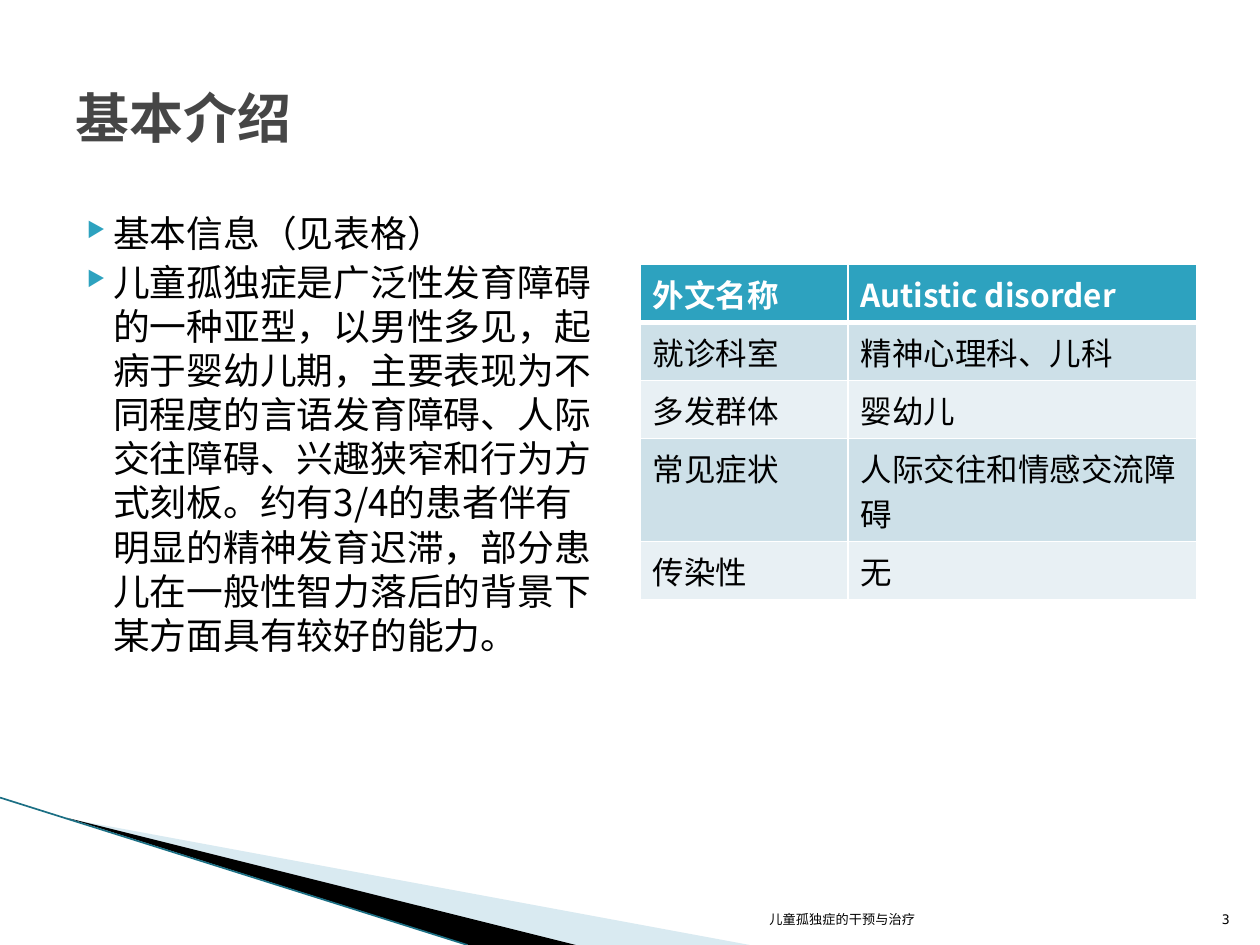
import pptx
import pptx.util
import pptx.dml.color
import pptx.enum.shapes
import pptx.enum.text
import pptx.oxml.ns
from lxml import etree

# Content
TITLE = "基本介绍"
POINTS = [
    "基本信息（见表格）",
    "儿童孤独症是广泛性发育障碍的一种亚型，以男性多见，起病于婴幼儿期，"
    "主要表现为不同程度的言语发育障碍、人际交往障碍、兴趣狭窄和行为方式刻板。"
    "约有3/4的患者伴有明显的精神发育迟滞，部分患儿在一般性智力落后的背景下"
    "某方面具有较好的能力。",
]
FACTS = [
    ("外文名称", "Autistic disorder"),
    ("就诊科室", "精神心理科、儿科"),
    ("多发群体", "婴幼儿"),
    ("常见症状", "人际交往和情感交流障碍"),
    ("传染性", "无"),
]
FOOTER = [("儿童孤独症的干预与治疗", 4.79, 2.57), ("3", 9.46, 0.4)]

# Theme
SANS, MONO = "Noto Sans CJK SC", "DejaVu Sans Mono"
THEME = {
    "title": dict(size=30.8, color="464646", bold=True, name=SANS),
    "body": dict(size=21, color="000000", bold=False, name=SANS),
    "head": dict(size=18, color="FFFFFF", bold=True, name=SANS),
    "cell": dict(size=18, color="000000", bold=False, name=SANS),
    "foot": dict(size=7.5, color="000000", bold=False, name=MONO),
    "accent": "2DA2BF", "bands": ("CDE0E8", "E8F0F4"), "rule": "FFFFFF",
    "pale": "A0CBDC", "dark": "000000", "edge": "1B6F84",
    "leading": 25.2, "bullet": 57,
}

# Layout: two equal columns between the side margins
WIDE, HIGH, EDGE, GAP = 10, 7.5, 0.5, 0.16
COL = (WIDE - 2 * EDGE - GAP) / 2
RIGHT = EDGE + COL + GAP
SPLIT = (1.65, COL - 1.65)
ROWS = (0.46, 0.46, 0.46, 0.82, 0.46)
WEDGES = [
    ([(0.55, 6.5), (5.95, HIGH), (4.56, HIGH)], "pale", 40),
    ([(0.53, 6.49), (4.57, HIGH), (3.72, HIGH)], "dark", 100),
]

inch, pt = pptx.util.Inches, pptx.util.Pt
rgb = pptx.dml.color.RGBColor.from_string
qn = pptx.oxml.ns.qn
ANCHOR, ALIGN = pptx.enum.text.MSO_ANCHOR, pptx.enum.text.PP_ALIGN
STRAIGHT = pptx.enum.shapes.MSO_CONNECTOR.STRAIGHT


def sub(node, tag, **attrs):
    return etree.SubElement(node, qn(tag), attrs)


def write(para, text, style):
    run = para.add_run()
    run.text = text
    look = dict(THEME[style])
    run.font.color.rgb = rgb(look.pop("color"))
    look["size"] = pt(look["size"])
    for key, val in look.items():
        setattr(run.font, key, val)
    latin = run.font._element.find(qn("a:latin"))
    latin.addnext(etree.Element(qn("a:ea"), {"typeface": SANS}))


def box(slide, x, y, w, h, anchor=ANCHOR.TOP):
    frame = slide.shapes.add_textbox(*map(inch, (x, y, w, h))).text_frame
    for key, val in dict(word_wrap=True, vertical_anchor=anchor).items():
        setattr(frame, key, val)
    return frame


def bullet(para):
    props = para._p.get_or_add_pPr()
    props.set("marL", str(inch(0.3)))
    props.set("indent", str(inch(-0.21)))
    sub(sub(props, "a:buClr"), "a:srgbClr", val=THEME["accent"])
    sub(props, "a:buSzPct", val=str(THEME["bullet"] * 1000))
    sub(props, "a:buChar", char="▶")


def border(cell, sides):
    props = cell._tc.get_or_add_tcPr()
    for at, (side, width) in enumerate(sides.items()):
        line = etree.Element(qn("a:ln" + side), {"w": str(pt(width))})
        sub(sub(line, "a:solidFill"), "a:srgbClr", val=THEME["rule"])
        props.insert(at, line)


def wedges(slide):
    for dots, tint, alpha in WEDGES:
        first, *rest = [tuple(map(inch, dot)) for dot in dots]
        pen = slide.shapes.build_freeform(*first)
        pen.add_line_segments(rest, close=True)
        shape = pen.convert_to_shape()
        shape.shadow.inherit = False
        shape.line.fill.background()
        shape.fill.solid()
        shape.fill.fore_color.rgb = rgb(THEME[tint])
        if alpha < 100:
            color = shape._element.spPr.find(".//" + qn("a:srgbClr"))
            sub(color, "a:alpha", val=str(alpha * 1000))
    ends = map(inch, (0, 6.33, 3.71, HIGH))
    edge = slide.shapes.add_connector(STRAIGHT, *ends)
    edge.line.color.rgb = rgb(THEME["edge"])
    edge.line.width = pt(0.95)
    sub(edge._element.spPr, "a:effectLst")


def facts(slide):
    size = (RIGHT, 2.1, COL, sum(ROWS))
    table = slide.shapes.add_table(len(FACTS), 2, *map(inch, size)).table
    for col, width in zip(table.columns, SPLIT):
        col.width = inch(width)
    for r, row in enumerate(FACTS):
        table.rows[r].height = inch(ROWS[r])
        for c, text in enumerate(row):
            cell = table.cell(r, c)
            write(cell.text_frame.paragraphs[0], text, "cell" if r else "head")
            cell.fill.solid()
            tint = THEME["bands"][(r - 1) % 2] if r else THEME["accent"]
            cell.fill.fore_color.rgb = rgb(tint)
            border(cell, {"L": 1, "R": 1, "T": 3 if r == 1 else 1, "B": 1 if r else 3})


def main():
    deck = pptx.Presentation()
    deck.slide_width, deck.slide_height = inch(WIDE), inch(HIGH)
    slide = deck.slides.add_slide(deck.slide_layouts[6])

    # Corner decoration
    wedges(slide)

    # Title
    frame = box(slide, EDGE, 0.3, WIDE - 2 * EDGE, 1.25, ANCHOR.MIDDLE)
    write(frame.paragraphs[0], TITLE, "title")

    # Bullets
    frame = box(slide, EDGE, 1.62, COL, 4.95)
    for i, text in enumerate(POINTS):
        para = frame.add_paragraph() if i else frame.paragraphs[0]
        bullet(para)
        para.line_spacing = pt(THEME["leading"])
        para.space_before = pt(3 if i else 0)
        write(para, text, "body")

    # Table
    facts(slide)

    # Footer and page number
    for text, x, w in FOOTER:
        para = box(slide, x, 7.01, w, 0.4, ANCHOR.BOTTOM).paragraphs[0]
        para.alignment = ALIGN.RIGHT
        write(para, text, "foot")

    deck.save("out.pptx")


if __name__ == "__main__":
    main()
